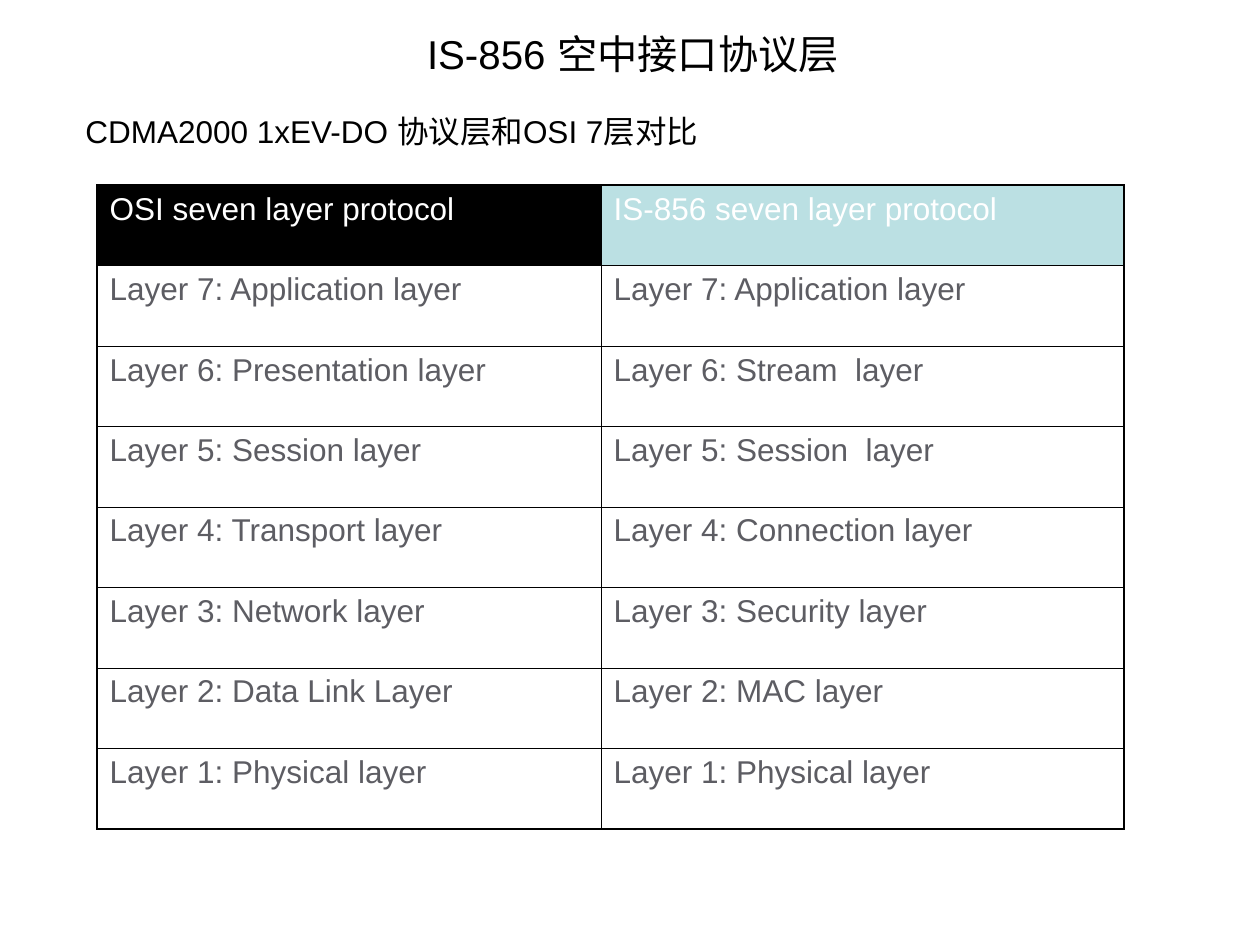
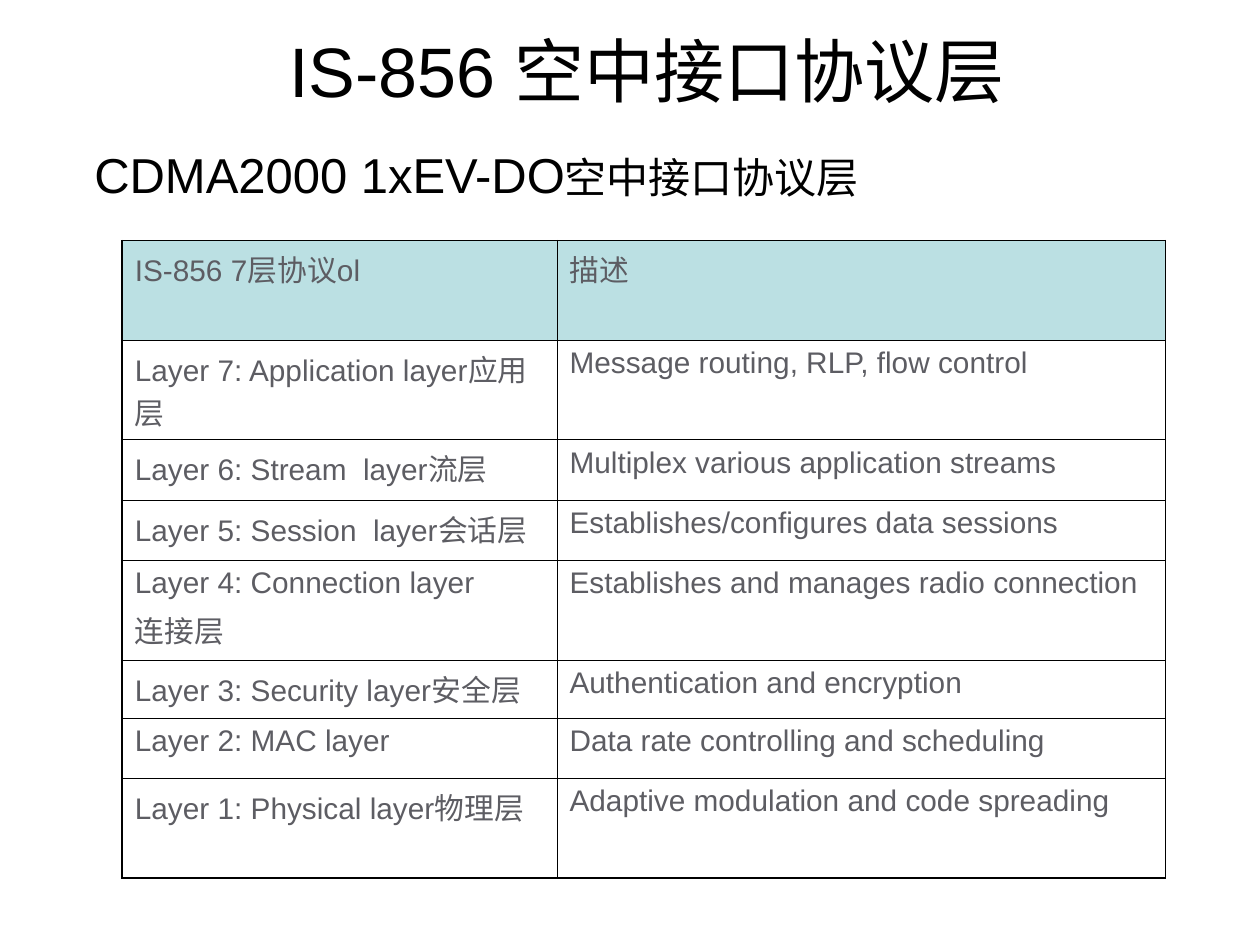
from dataclasses import dataclass

from lxml import etree
from pptx import Presentation
from pptx.dml.color import RGBColor
from pptx.enum.text import MSO_ANCHOR, PP_ALIGN
from pptx.oxml.ns import qn
from pptx.util import Inches, Pt

CENTER = PP_ALIGN.CENTER
LEFT = PP_ALIGN.LEFT
MIDDLE = MSO_ANCHOR.MIDDLE
TOP = MSO_ANCHOR.TOP
BLANK_LAYOUT = 6


@dataclass(frozen=True)
class Theme:
    font: str = "Arial"
    black: str = "000000"
    white: str = "FFFFFF"
    grey: str = "5D5D63"
    aqua: str = "BBE0E3"
    title_small: float = 23
    title_large: float = 40
    heading_small: float = 18
    heading_large: float = 28
    heading_chinese: float = 24
    cell_small: float = 17
    cell_large: float = 18
    paragraph_gap: float = 4.2
    outer_line: float = 1.08
    inner_line: float = 0.45


class SlideBuilder:
    def __init__(self, deck, theme):
        self.deck = deck
        self.theme = theme
        self.page = None

    def add_page(self):
        self.page = self.deck.slides.add_slide(self.deck.slide_layouts[BLANK_LAYOUT])

    def add_span(self, para, text, size, color):
        span = para.add_run()
        span.text = text
        span.font.name = self.theme.font
        span.font.size = Pt(size)
        span.font.color.rgb = RGBColor.from_string(color)

    def add_text(self, area, spans, align=LEFT, anchor=TOP):
        box = self.page.shapes.add_textbox(*(Inches(length) for length in area))
        frame = box.text_frame
        frame.word_wrap = True
        frame.vertical_anchor = anchor
        para = frame.paragraphs[0]
        para.alignment = align
        for text, size in spans:
            self.add_span(para, text, size, self.theme.black)

    def add_title(self, area, size):
        self.add_text(area, [("IS-856 空中接口协议层", size)], CENTER, MIDDLE)

    def add_border(self, cell, side, width):
        line = etree.SubElement(cell._tc.get_or_add_tcPr(), qn(f"a:ln{side}"), w=str(Pt(width)))
        fill = etree.SubElement(line, qn("a:solidFill"))
        etree.SubElement(fill, qn("a:srgbClr"), val=self.theme.black)

    def fill_cell(self, cell, text, size, color, fill):
        for index, line in enumerate(text.split("\n")):
            para = cell.text_frame.paragraphs[0] if index == 0 else cell.text_frame.add_paragraph()
            if index:
                para.space_before = Pt(self.theme.paragraph_gap)
            self.add_span(para, line, size, color)
        if fill:
            cell.fill.solid()
            cell.fill.fore_color.rgb = RGBColor.from_string(fill)
        else:
            cell.fill.background()

    def add_table(self, left, top, widths, heights, rows, size, header_color, header_fills):
        frame = self.page.shapes.add_table(
            len(rows), len(widths), Inches(left), Inches(top),
            Inches(sum(widths)), Inches(sum(heights)))
        table = frame.table
        table.first_row = False
        table.horz_banding = False
        for column, width in zip(table.columns, widths):
            column.width = Inches(width)
        for row, height in zip(table.rows, heights):
            row.height = Inches(height)
        last_row, last_column = len(rows) - 1, len(widths) - 1
        for y, texts in enumerate(rows):
            for x, text in enumerate(texts):
                cell = table.cell(y, x)
                outer_sides = {"L": x == 0, "R": x == last_column, "T": y == 0, "B": y == last_row}
                for side, outer in outer_sides.items():
                    self.add_border(cell, side, self.theme.outer_line if outer else self.theme.inner_line)
                color = self.theme.grey if y else header_color
                self.fill_cell(cell, text, size, color, None if y else header_fills[x])


def build_comparison(builder):
    theme = builder.theme
    builder.add_page()
    builder.add_title((0.64, 0, 8.77, 0.85), theme.title_small)
    builder.add_text((0.58, 0.84, 8.44, 0.54),
                     [("CDMA2000 1xEV-DO 协议层和OSI 7层对比", theme.heading_small)])
    layers = [
        ("Application layer", "Application layer"),
        ("Presentation layer", "Stream  layer"),
        ("Session layer", "Session  layer"),
        ("Transport layer", "Connection layer"),
        ("Network layer", "Security layer"),
        ("Data Link Layer", "MAC layer"),
        ("Physical layer", "Physical layer"),
    ]
    rows = [("OSI seven layer protocol", "IS-856 seven layer protocol")]
    for number, names in zip(range(7, 0, -1), layers):
        rows.append([f"Layer {number}: {name}" for name in names])
    table_height = 5.11
    builder.add_table(0.77, 1.47, [4, 4.15], [table_height / len(rows)] * len(rows), rows,
                      theme.cell_large, theme.white, [theme.black, theme.aqua])


def build_descriptions(builder):
    theme = builder.theme
    builder.add_page()
    builder.add_title((0.76, 0.18, 8.75, 0.74), theme.title_large)
    builder.add_text((0.65, 1.1, 8.42, 0.92),
                     [("CDMA2000 1xEV-DO", theme.heading_large),
                      ("空中接口协议层", theme.heading_chinese)])
    layers = [
        ("Application layer应用层", "Message routing, RLP, flow control"),
        ("Stream  layer流层", "Multiplex various application streams"),
        ("Session  layer会话层", "Establishes/configures data sessions"),
        ("Connection layer\n连接层", "Establishes and manages radio connection"),
        ("Security layer安全层", "Authentication and encryption"),
        ("MAC layer", "Data rate controlling and scheduling"),
        ("Physical layer物理层", "Adaptive modulation and code spreading"),
    ]
    rows = [("IS-856 7层协议ol", "描述")]
    for number, (name, description) in zip(range(7, 0, -1), layers):
        rows.append((f"Layer {number}: {name}", description))
    tall, short = 0.79, 0.48
    heights = [tall, tall, short, short, tall, 0.46, short, tall]
    builder.add_table(0.97, 1.91, [3.45, 4.83], heights, rows,
                      theme.cell_small, theme.grey, [theme.aqua, theme.aqua])


def main():
    deck = Presentation()
    deck.slide_width = Inches(10)
    deck.slide_height = Inches(7.5)
    builder = SlideBuilder(deck, Theme())
    build_comparison(builder)
    build_descriptions(builder)
    deck.save("out.pptx")


if __name__ == "__main__":
    main()
